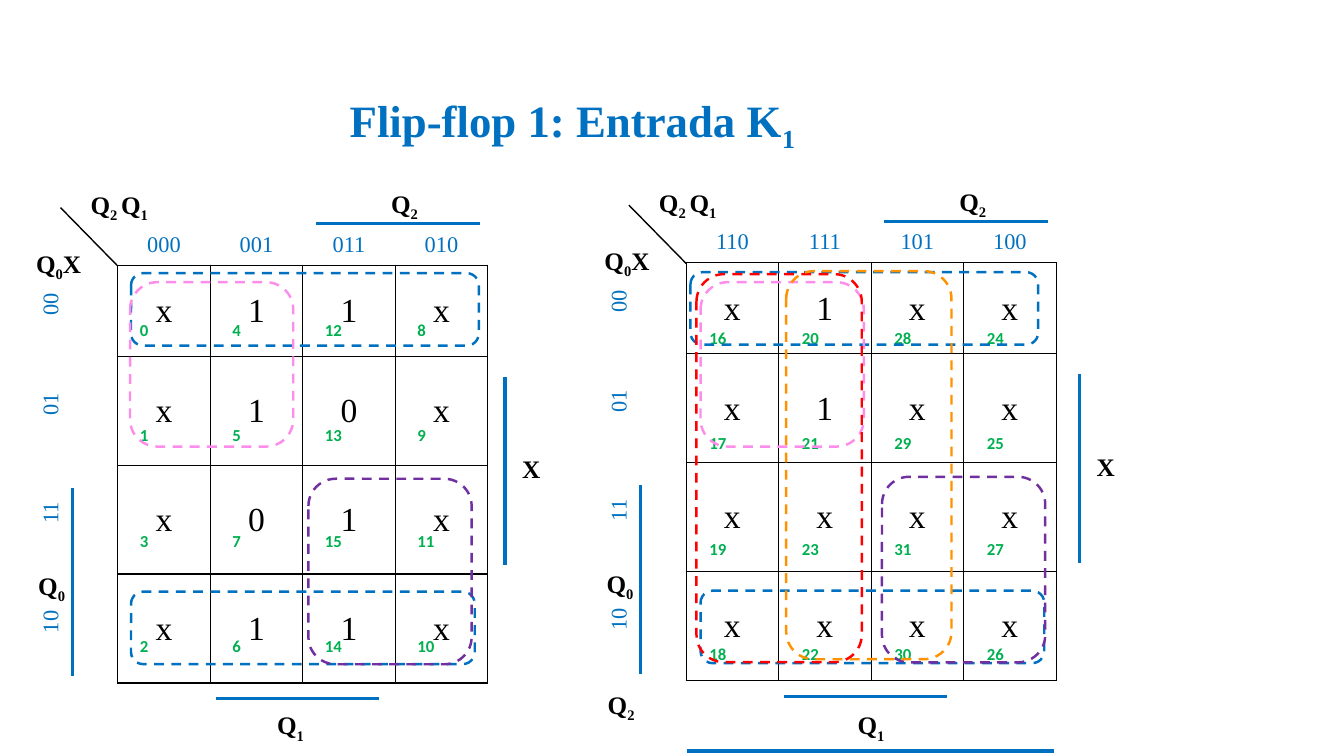
from lxml.etree import SubElement
from pptx import Presentation
from pptx.dml.color import RGBColor
from pptx.enum.dml import MSO_LINE
from pptx.enum.shapes import MSO_CONNECTOR, MSO_SHAPE
from pptx.enum.text import MSO_ANCHOR, MSO_AUTO_SIZE, PP_ALIGN
from pptx.oxml.ns import qn
from pptx.util import Pt

# Content: in labels, every second part between bars is a subscript
TITLE = "Flip-flop 1: Entrada K|1"
ROW_CODES = ["00", "01", "11", "10"]
ROW_OFFSETS = [0, 1, 3, 2]
C = {"blue": "0070C0", "green": "00B050", "pink": "FD8DEA", "purple": "7030A0",
     "red": "FF0000", "orange": "FF9201", "black": "000000"}
SERIF = "Times New Roman"

# shift: offset of a map; x_shift: extra offset of its X bar; groups: colour, left, top, width, height
MAPS = [
    {"shift": (0, 0), "x_shift": 0, "q1": (190.8, 503.3), "indexes": (15.8, 103),
     "columns": ["000", "001", "011", "010"], "bases": [0, 4, 12, 8],
     "values": ["x11x", "x10x", "x01x", "x11x"],
     "groups": [("blue", 93.6, 195.1, 248.4, 51.8), ("pink", 92.9, 201.6, 116.6, 117.4),
                ("blue", 93.6, 422.6, 245.5, 51.8), ("purple", 220.3, 342, 116.6, 132.5)]},
    {"shift": (406, -1.8), "x_shift": 4.4, "q1": (605.5, 503.3), "indexes": (422.6, 108.7),
     "columns": ["110", "111", "101", "100"], "bases": [16, 20, 28, 24],
     "values": ["x1xx", "x1xx", "xxxx", "xxxx"],
     "groups": [("blue", 493.2, 194.4, 248.4, 51.8), ("pink", 500.4, 201.6, 116.6, 117.4),
                ("blue", 500.4, 421.9, 245.5, 51.8), ("purple", 630, 340.6, 116.6, 132.5),
                ("red", 497.5, 195.8, 118.1, 277.2), ("orange", 561.6, 193.7, 118.1, 277.2)]},
]
# Positions in the first map
LABELS = [("Q|2 |Q|1", 57.6, 131.8, 58.3), ("Q|0|X", 18.7, 173.5, 47.5),
          ("Q|0", 20.2, 403.9, 34.6), ("Q|2", 272.2, 131, 34.6)]
BARS = [(225.4, 159.8, 342.7, 159.8), (154.1, 499, 270.7, 499), (51.8, 348.5, 51.8, 483.1)]
X_BAR = (360.7, 269.3, 360.7, 403.9)
X_LABEL = (365.8, 320.4)
DIAGONAL = (84.2, 190.1, 43.2, 148.3)
GRID = (18, 150.1)
COL = 66.1
GRID_ROWS = [39.4, 65] + [77.8] * 3
INDEX_ROWS = [75.1] * 5
NO_STYLE = "{2D5ABB26-0587-4C30-8999-92F81FD0307C}"

# Cell formats: margins are left, top, right, bottom
HEADER = {"size": 16, "color": "blue", "margins": (18, 9.4, 18, 5.8), "borders": "B"}
SIDE = {"size": 16, "color": "blue", "margins": (18, 9.4, 8.6, 5.8), "borders": "R", "vert": True}
VALUE = {"size": 24, "color": "black", "margins": (0.7, 0.7, 0.7, 0), "borders": "LRTB",
         "anchor": MSO_ANCHOR.MIDDLE}
INDEX = {"size": 12, "color": "green", "margins": (18, 9.4, 18, 9.4), "borders": "",
         "font": "Calibri", "bold": True, "align": PP_ALIGN.LEFT}


def rgb(name):
    return RGBColor.from_string(C[name])


def set_font(r, size, color, name=SERIF, bold=False):
    for key, value in {"size": Pt(size), "name": name, "bold": bold}.items():
        setattr(r.font, key, value)
    r.font.color.rgb = rgb(color)


def write(shape, text, size, color):
    tf = shape.text_frame
    tf.word_wrap = False
    tf.auto_size = MSO_AUTO_SIZE.SHAPE_TO_FIT_TEXT
    tf.vertical_anchor = MSO_ANCHOR.TOP
    p = tf.paragraphs[0]
    p.alignment = PP_ALIGN.LEFT
    for i, part in enumerate(text.split("|")):
        r = p.add_run()
        r.text = part
        set_font(r, size, color, bold=True)
        if i % 2:
            r.font._element.set("baseline", "-25000")


def add_label(text, x, y, w):
    write(s.shapes.add_textbox(Pt(x), Pt(y), Pt(w), Pt(28.8)), text, 18, "black")


def add_line(x1, y1, x2, y2, color="blue", width=2.25):
    ln = s.shapes.add_connector(MSO_CONNECTOR.STRAIGHT, Pt(x1), Pt(y1), Pt(x2), Pt(y2))
    ln.line.color.rgb = rgb(color)
    ln.line.width = Pt(width)
    SubElement(ln._element.spPr, qn("a:effectLst"))


def format_cell(cell, text, f):
    tcPr = cell._tc.get_or_add_tcPr()
    for side in f["borders"]:
        ln = SubElement(tcPr, qn(f"a:ln{side}"), w=str(Pt(1)))
        fill = SubElement(ln, qn("a:solidFill"))
        SubElement(fill, qn("a:srgbClr"), val=C["black"])
    if f.get("vert"):
        tcPr.set("vert", "vert270")
    for side, margin in zip(("left", "top", "right", "bottom"), f["margins"]):
        setattr(cell, f"margin_{side}", Pt(margin))
    cell.vertical_anchor = f.get("anchor", MSO_ANCHOR.BOTTOM)
    p = cell.text_frame.paragraphs[0]
    p.alignment = f.get("align", PP_ALIGN.CENTER)
    r = p.add_run()
    r.text = text
    set_font(r, f["size"], f["color"], f.get("font", SERIF), f.get("bold", False))


def add_grid(x, y, heights, cells):
    """cells maps (row, column) to (text, format)."""
    frame = s.shapes.add_table(5, 5, Pt(x), Pt(y), Pt(5 * COL), Pt(sum(heights)))
    tbl = frame.table
    tbl.first_row = tbl.horz_banding = False
    tbl._tbl.tblPr.find(qn("a:tableStyleId")).text = NO_STYLE
    for i, h in enumerate(heights):
        tbl.rows[i].height = Pt(h)
        tbl.columns[i].width = Pt(COL)
    for (row, col), (text, f) in cells.items():
        format_cell(tbl.cell(row, col), text, f)
    for cell in tbl.iter_cells():
        cell.fill.background()


prs = Presentation()
prs.slide_width, prs.slide_height = Pt(960), Pt(540)
s = prs.slides.add_slide(prs.slide_layouts[5])

# Title
title = s.shapes.title
title.left, title.top, title.width, title.height = Pt(242.6), Pt(62.6), Pt(336.2), Pt(46.1)
write(title, TITLE, 32, "blue")

# Karnaugh maps
for m in MAPS:
    dx, dy = m["shift"]
    indexes = {(i + 1, j + 1): (str(base + off), INDEX)
               for i, off in enumerate(ROW_OFFSETS) for j, base in enumerate(m["bases"])}
    add_grid(*m["indexes"], INDEX_ROWS, indexes)

    cells = {(0, j + 1): (code, HEADER) for j, code in enumerate(m["columns"])}
    for i, code in enumerate(ROW_CODES):
        cells[i + 1, 0] = (code, SIDE)
        for j, value in enumerate(m["values"][i]):
            cells[i + 1, j + 1] = (value, VALUE)
    add_grid(GRID[0] + dx, GRID[1] + dy, GRID_ROWS, cells)

    # Variable names and bars
    shift, x_shift = (dx, dy) * 2, (dx + m["x_shift"], dy) * 2
    add_line(*(a + b for a, b in zip(DIAGONAL, shift)), "black", 1)
    for bar in BARS:
        add_line(*(a + b for a, b in zip(bar, shift)))
    add_line(*(a + b for a, b in zip(X_BAR, x_shift)))
    for text, x, y, w in LABELS:
        add_label(text, x + dx, y + dy, w)
    add_label("X", X_LABEL[0] + x_shift[0], X_LABEL[1] + dy, 27.4)
    add_label("Q|1", *m["q1"], 34.6)

# Dashed groups
for color, x, y, w, h in (g for m in MAPS for g in m["groups"]):
    box = s.shapes.add_shape(MSO_SHAPE.ROUNDED_RECTANGLE, Pt(x), Pt(y), Pt(w), Pt(h))
    box.shadow.inherit = False
    box.fill.background()
    box.line.color.rgb = rgb(color)
    box.line.width = Pt(1.75)
    box.line.dash_style = MSO_LINE.DASH

# Extra variable of the second map
add_label("Q|2", 427, 488.9, 34.6)
add_line(491, 536.4, 753.1, 536.4)

prs.save("out.pptx")
